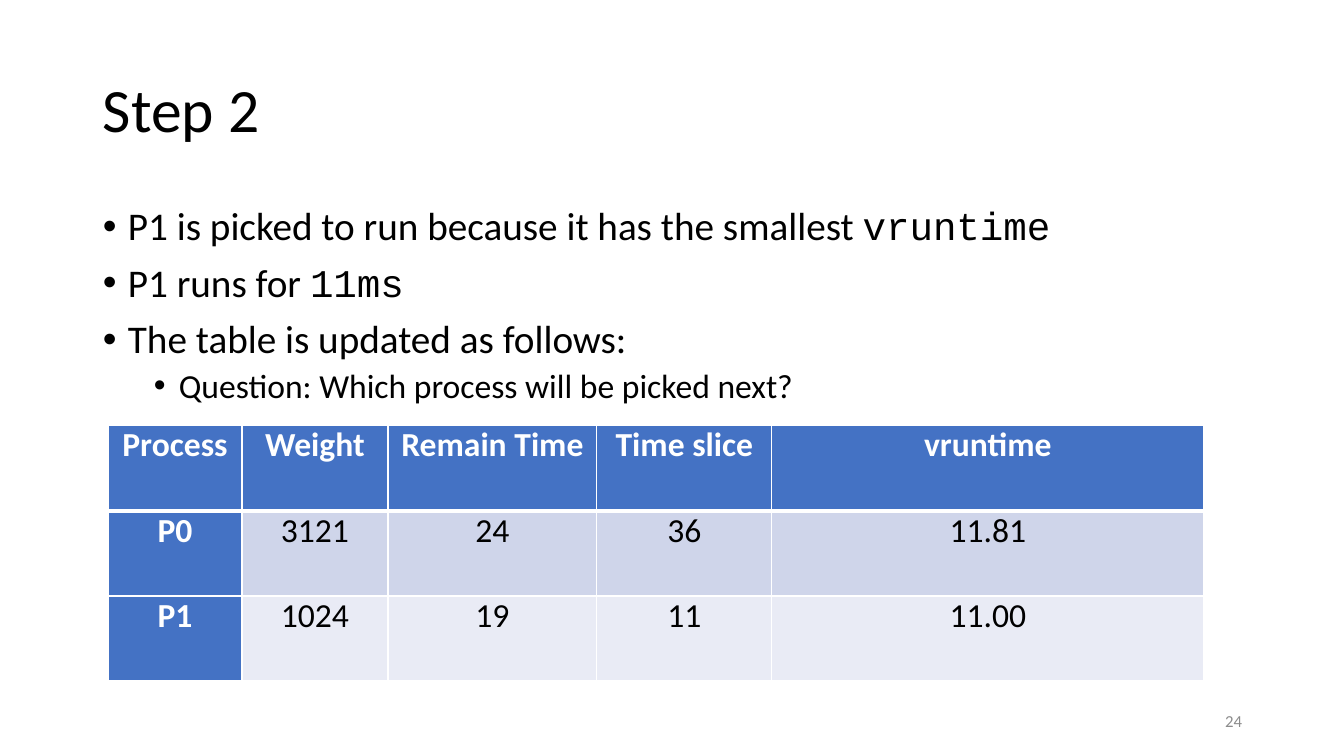
"""Build the "Step 2" scheduling slide with its bullets and process table."""
from pptx import Presentation
from pptx.dml.color import RGBColor
from pptx.enum.text import MSO_ANCHOR as Anchor, PP_ALIGN as Align
from pptx.oxml.ns import qn
from pptx.util import Emu, Pt
from lxml.etree import SubElement

PX = 914400 / 100.8
COLORS = {
    "text": "000000",
    "white": "FFFFFF",
    "header": "4472C4",
    "odd_row": "CFD5EA",
    "even_row": "E9EBF5",
    "number": "8C8C8C",
}
SANS, MONO = "Calibri", "Courier New"


def px(length):
    return Emu(round(length * PX))


def style(run, size, color="text", font=SANS, bold=False):
    run.font.size = Pt(size)
    run.font.name = font
    run.font.bold = bold
    run.font.color.rgb = RGBColor.from_string(COLORS[color])


presentation = Presentation()
presentation.slide_width, presentation.slide_height = px(1344), px(756)
slide = presentation.slides.add_slide(presentation.slide_layouts[6])

frames = []
for box, anchor in [
    ((93, 40, 1159, 146), Anchor.MIDDLE),
    ((93, 202, 1159, 480), Anchor.TOP),
    ((950, 701, 302, 40), Anchor.MIDDLE),
]:
    frame = slide.shapes.add_textbox(*map(px, box)).text_frame
    frame.word_wrap = True
    frame.vertical_anchor = anchor
    frames.append(frame)
title, body, number = frames

title.text = "Step 2"
title.paragraphs[0].line_spacing = 0.9
style(title.paragraphs[0].runs[0], 44)

number.text = "24"
number.paragraphs[0].alignment = Align.RIGHT
style(number.paragraphs[0].runs[0], 12, "number")

bullets = [
    (0, [("P1 is picked to run because it has the smallest ", SANS), ("vruntime", MONO)]),
    (0, [("P1 runs for ", SANS), ("11ms", MONO)]),
    (0, [("The table is updated as follows:", SANS)]),
    (1, [("Question: Which process will be picked next?", SANS)]),
]
for index, (level, pieces) in enumerate(bullets):
    paragraph = body.add_paragraph() if index else body.paragraphs[0]
    paragraph.level = level
    paragraph.line_spacing = 0.9
    paragraph.space_before = Pt(5 if level else 10)
    properties = paragraph._p.get_or_add_pPr()
    properties.set("marL", str(px(76 if level else 25)))
    properties.set("indent", str(px(-25)))
    SubElement(properties, qn("a:buFont"), typeface="Arial")
    SubElement(properties, qn("a:buChar"), char="•")
    for text, font in pieces:
        run = paragraph.add_run()
        run.text = text
        style(run, 24 if level else 28, font=font)

rows = [
    ["Process", "Weight", "Remain Time", "Time slice", "vruntime"],
    ["P0", "3121", "24", "36", "11.81"],
    ["P1", "1024", "19", "11", "11.00"],
]
column_widths = [134, 146, 209, 175, 432]
row_heights = [86, 85, 85]
table = slide.shapes.add_table(
    len(rows), len(column_widths), px(108), px(425),
    px(sum(column_widths)), px(sum(row_heights)),
).table
table.first_col = True
for column, width in zip(table.columns, column_widths):
    column.width = px(width)
for row, height in zip(table.rows, row_heights):
    row.height = px(height)

for row_index, values in enumerate(rows):
    for column_index, value in enumerate(values):
        is_header = row_index == 0 or column_index == 0
        cell = table.cell(row_index, column_index)
        cell.margin_left = cell.margin_right = px(7)
        cell.margin_top = cell.margin_bottom = 0
        cell.text = value
        paragraph = cell.text_frame.paragraphs[0]
        paragraph.alignment = Align.CENTER
        style(paragraph.runs[0], 24, "white" if is_header else "text", bold=is_header)
        for side in ("L", "R", "T", "B"):
            thick = (row_index, side) in [(0, "B"), (1, "T")]
            line = SubElement(cell._tc.get_or_add_tcPr(), qn(f"a:ln{side}"), w=str(Pt(3 if thick else 1)))
            SubElement(SubElement(line, qn("a:solidFill")), qn("a:srgbClr"), val=COLORS["white"])
        band = "odd_row" if row_index % 2 else "even_row"
        cell.fill.solid()
        cell.fill.fore_color.rgb = RGBColor.from_string(COLORS["header" if is_header else band])

presentation.save("out.pptx")
